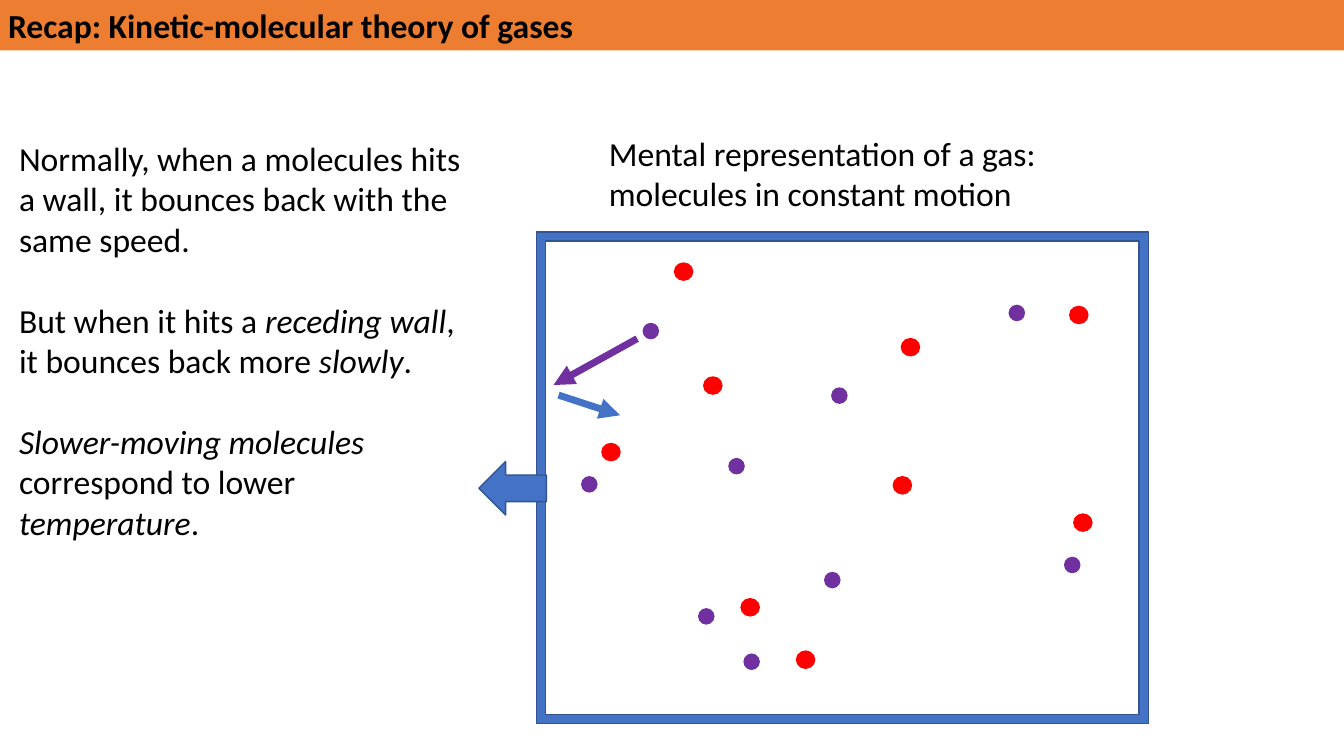
from lxml.etree import SubElement
from pptx import Presentation
from pptx.dml.color import RGBColor
from pptx.enum.shapes import MSO_CONNECTOR as CONN, MSO_SHAPE as SHAPE
from pptx.enum.text import MSO_ANCHOR as ANCHOR, PP_ALIGN as ALIGN
from pptx.oxml.ns import qn
from pptx.util import Inches, Pt

BLACK = RGBColor(0x00, 0x00, 0x00)
ORANGE = RGBColor(0xED, 0x7D, 0x31)
BLUE = RGBColor(0x44, 0x72, 0xC4)
NAVY = RGBColor(0x32, 0x54, 0x91)
PURPLE = RGBColor(0x70, 0x30, 0xA0)
RED = RGBColor(0xFF, 0x00, 0x00)

PURPLE_SPOTS = [(63.8, 32.1), (69.3, 60.4), (82.5, 38.5), (72.3, 45.5), (100.1, 30.3),
                (81.8, 56.8), (57.7, 47.3), (105.6, 55.3), (73.8, 64.9)]
RED_SPOTS = [(66.9, 26.1), (73.5, 59.4), (89.4, 33.6), (69.8, 37.4), (106.1, 30.4),
             (88.6, 47.3), (59.7, 44), (106.5, 51), (79, 64.6)]
MOLECULES = [(PURPLE, 1.5, 1.5, PURPLE_SPOTS), (RED, 1.8, 1.7, RED_SPOTS)]

EXPLANATION = [
    [("Normally, when a molecules hits a wall, it bounces back with the same speed.", False)],
    [("But when it hits a ", False), ("receding wall", True),
     (", it bounces back more ", False), ("slowly", True), (".", False)],
    [("Slower-moving molecules", True), (" correspond to lower ", False),
     ("temperature", True), (".", False)],
]


class Canvas:
    """Draw styled elements on a slide, measured in grid cells of a tenth of an inch."""

    cell = Inches(0.1)
    font = {"name": "Calibri", "size": Pt(24)}

    def __init__(self, slide):
        self.shapes = slide.shapes

    def grid(self, *cells):
        return [round(n * self.cell) for n in cells]

    def add_text(self, sp, paragraphs, gap=0, bold=False, **frame):
        tf = sp.text_frame
        for key, value in {"word_wrap": True, **frame}.items():
            setattr(tf, key, value)
        for i, runs in enumerate(paragraphs):
            p = tf.paragraphs[0] if i == 0 else tf.add_paragraph()
            p.alignment = ALIGN.LEFT
            if i:
                p.space_before = Pt(gap)
            for text, italic in runs:
                r = p.add_run()
                r.text = text
                for key, value in {**self.font, "bold": bold, "italic": italic}.items():
                    setattr(r.font, key, value)
                r.font.color.rgb = BLACK

    def text(self, box, paragraphs, gap=0):
        self.add_text(self.shapes.add_textbox(*self.grid(*box)), paragraphs, gap)

    def shape(self, kind, box, fill, line=None):
        sp = self.shapes.add_shape(kind, *self.grid(*box))
        sp.shadow.inherit = False
        sp.fill.solid()
        sp.fill.fore_color.rgb = fill
        if line is None:
            sp.line.fill.background()
        else:
            sp.line.color.rgb = line
            sp.line.width = Pt(1)
        return sp

    def banner(self, box, title):
        sp = self.shape(SHAPE.RECTANGLE, box, ORANGE)
        self.add_text(sp, [[(title, False)]], bold=True, margin_left=Inches(0.08),
                      vertical_anchor=ANCHOR.MIDDLE)

    def arrow(self, start, end, color):
        cx = self.shapes.add_connector(CONN.STRAIGHT, *self.grid(*start, *end))
        cx.line.color.rgb = color
        cx.line.width = Pt(5)
        props = cx.element.spPr
        SubElement(props.find(qn("a:ln")), qn("a:tailEnd"), type="triangle")
        SubElement(props, qn("a:effectLst"))


def main():
    prs = Presentation()
    prs.slide_width, prs.slide_height = Inches(13.33), Inches(7.5)
    c = Canvas(prs.slides.add_slide(prs.slide_layouts[6]))

    c.text((59.4, 12.7, 44.8, 9.1),
           [[("Mental representation of a gas: molecules in constant motion", False)]])
    container = c.shape(SHAPE.FRAME, (53.2, 23, 60.7, 48.8), BLUE, NAVY)
    container.adjustments[0] = 0.019
    for color, width, height, spots in MOLECULES:
        for left, top in spots:
            c.shape(SHAPE.OVAL, (left, top, width, height), color, color)

    c.arrow((63.2, 33.6), (54.9, 38.2), PURPLE)
    c.arrow((55.4, 39.2), (61.5, 41.2), BLUE)
    c.shape(SHAPE.LEFT_ARROW, (47.5, 45.8, 6.7, 5.3), BLUE, NAVY)
    c.text((0.9, 13.2, 46.5, 41.4), EXPLANATION, gap=29)
    c.banner((0, 0, 133.3, 5), "Recap: Kinetic-molecular theory of gases")
    prs.save("out.pptx")


if __name__ == "__main__":
    main()
